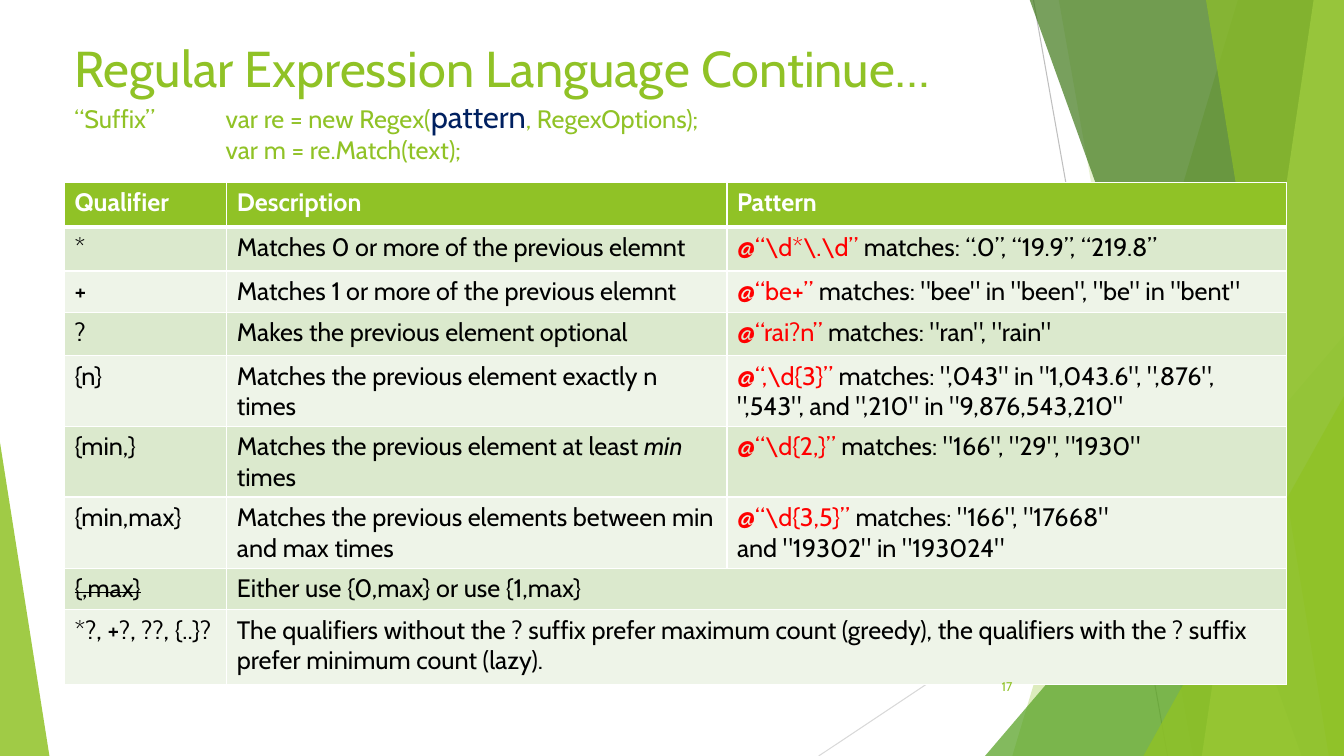
from lxml.etree import SubElement
from pptx import Presentation
from pptx.dml.color import RGBColor
from pptx.enum.shapes import MSO_CONNECTOR, MSO_SHAPE
from pptx.enum.text import MSO_ANCHOR, PP_ALIGN
from pptx.oxml.ns import qn
from pptx.util import Inches, Pt

# Content: a cell is a string or a list of (text, format) spans
FONT = "Cabin"
GREEN, NAVY, RED, WHITE, BLACK = "90C226", "002060", "FF0000", "FFFFFF", "000000"
BANDS = ["EEF4E8", "DBE9CD"]

TITLE = [
    ("Regular Expression Language Continue…\n", {"size": 36}),
    ("“Suffix”\t\tvar re = new Regex(", {}),
    ("pattern", {"size": 22, "color": NAVY}),
    (", RegexOptions);\n\t\t\tvar m = re.Match(text);", {}),
]
HEADER = ["Qualifier", "Description", "Pattern"]


def example(pattern, matches):
    return [(pattern, {"color": RED}), (" matches: " + matches, {})]


ROWS = [
    ["*", "Matches 0 or more of the previous elemnt",
     example(r"@“\d*\.\d”", "“.0”, “19.9”, “219.8”")],
    ["+", "Matches 1 or more of the previous elemnt",
     example("@“be+”", '"bee" in "been", "be" in "bent"')],
    ["?", "Makes the previous element optional",
     example("@“rai?n”", '"ran", "rain"')],
    ["{n}", "Matches the previous element exactly n times",
     example(r"@“,\d{3}”", '",043" in "1,043.6", ",876", ",543", and ",210" in "9,876,543,210"')],
    ["{min,}", [("Matches the previous element at least ", {}),
                ("min", {"italic": True}), (" times", {})],
     example(r"@“\d{2,}”", '"166", "29", "1930"')],
    ["{min,max}", "Matches the previous elements between min and max times",
     example(r"@“\d{3,5}”", '"166", "17668"\nand "19302" in "193024"')],
    [[("{,max}", {"strike": True})], "Either use {0,max} or use {1,max}"],
    ["*?, +?, ??, {..}?",
     "The qualifiers without the ? suffix prefer maximum count (greedy), "
     "the qualifiers with the ? suffix prefer minimum count (lazy)."],
]
COLUMN_WIDTHS = [1.61, 4.96, 5.55]
ROW_HEIGHTS = [0.44, 0.44, 0.41, 0.43, 0.69, 0.67, 0.71, 0.41, 0.74]

# Background: panels run to the right edge, given by the x of their left side
WIDTH, HEIGHT, PANEL_TOP = 13.33, 7.5, -0.01
LINES = [((10.25, 0), (11.58, HEIGHT), "BFBFBF"), ((WIDTH, 4.03), (8.12, HEIGHT), "D9D9D9")]
DECORATION = [  # kind, geometry, colour, opacity in percent
    ("panel", (12.28, 10.04), GREEN, 30),
    ("panel", (10.5, 11.83), GREEN, 20),
    ("triangle", (9.77, 3.33, 3.56, 4.17, 1), "54A021", 72),
    ("panel", (10.21, 12.91), "3F7819", 70),
    ("panel", (13.03, 11.92), "C0E474", 70),
    ("panel", (11.96, 13.18), GREEN, 65),
    ("triangle", (11.34, 3.93, 1.99, 3.57, 1), GREEN, 80),
    ("triangle", (0, 4.39, 0.49, 3.11, 0), GREEN, 85),
]


def rgb(value):
    return RGBColor.from_string(value)


def write(para, text, size=18, color=BLACK, bold=False, italic=False, strike=False):
    for index, line in enumerate(text.split("\n")):
        if index:
            para.add_line_break()
        if not line:
            continue
        span = para.add_run()
        span.text = line
        font = span.font
        font.name, font.size, font.bold, font.italic = FONT, Pt(size), bold, italic
        font.color.rgb = rgb(color)
        if strike:
            font._element.set("strike", "sngStrike")


def add_text_box(page, left, top, width, height, anchor):
    box = page.shapes.add_textbox(Inches(left), Inches(top), Inches(width), Inches(height))
    box.text_frame.word_wrap = True
    box.text_frame.vertical_anchor = anchor
    return box.text_frame.paragraphs[0]


def add_line(page, start, end, color):
    line = page.shapes.add_connector(MSO_CONNECTOR.STRAIGHT, *map(Inches, start + end))
    line.line.color.rgb = rgb(color)
    line.line.width = Pt(0.75)
    SubElement(line._element.spPr, qn("a:effectLst"))


def add_decoration(page, kind, geometry, color, opacity):
    if kind == "panel":
        top_x, bottom_x = geometry
        builder = page.shapes.build_freeform(Inches(top_x), Inches(PANEL_TOP))
        corners = [(WIDTH, PANEL_TOP), (WIDTH, HEIGHT), (bottom_x, HEIGHT)]
        builder.add_line_segments([(Inches(x), Inches(y)) for x, y in corners], close=True)
        shape = builder.convert_to_shape()
    else:
        *frame, apex = geometry
        shape = page.shapes.add_shape(MSO_SHAPE.ISOSCELES_TRIANGLE, *map(Inches, frame))
        shape.adjustments[0] = apex
    shape.shadow.inherit = False
    shape.line.fill.background()
    shape.fill.solid()
    shape.fill.fore_color.rgb = rgb(color)
    color_node = shape._element.spPr.find(qn("a:solidFill"))[0]
    SubElement(color_node, qn("a:alpha"), val=str(opacity * 1000))


def style_cell(cell, fill, bottom_width):
    properties = cell._tc.get_or_add_tcPr()
    for side, width in (("L", 1), ("R", 1), ("T", 1), ("B", bottom_width)):
        border = SubElement(properties, qn("a:ln" + side), w=str(Pt(width)))
        SubElement(SubElement(border, qn("a:solidFill")), qn("a:srgbClr"), val=WHITE)
    cell.fill.solid()
    cell.fill.fore_color.rgb = rgb(fill)


def add_qualifier_table(page):
    frame = page.shapes.add_table(
        len(ROW_HEIGHTS), len(COLUMN_WIDTHS), Inches(0.64), Inches(1.81),
        Inches(sum(COLUMN_WIDTHS)), Inches(sum(ROW_HEIGHTS)))
    table = frame.table
    for column, width in zip(table.columns, COLUMN_WIDTHS):
        column.width = Inches(width)
    for row, height in zip(table.rows, ROW_HEIGHTS):
        row.height = Inches(height)
    for r, contents in enumerate([HEADER] + ROWS):
        header = r == 0
        for cell in table.rows[r].cells:
            style_cell(cell, GREEN if header else BANDS[r % 2], 3 if header else 1)
        if len(contents) < len(COLUMN_WIDTHS):
            table.cell(r, 1).merge(table.cell(r, 2))
        base = {"color": WHITE, "bold": True} if header else {}
        for c, content in enumerate(contents):
            spans = [(content, {})] if isinstance(content, str) else content
            for text, style in spans:
                write(table.cell(r, c).text_frame.paragraphs[0], text, **{**base, **style})


def main():
    deck = Presentation()
    deck.slide_width, deck.slide_height = Inches(WIDTH), Inches(HEIGHT)
    page = deck.slides.add_slide(deck.slide_layouts[6])

    # Background
    for line in LINES:
        add_line(page, *line)
    for item in DECORATION:
        add_decoration(page, *item)

    # Title with half-inch tab stops
    title = add_text_box(page, 0.64, 0.32, 9.5, 1.39, MSO_ANCHOR.TOP)
    stops = SubElement(title._p.get_or_add_pPr(), qn("a:tabLst"))
    for count in (1, 2, 3):
        SubElement(stops, qn("a:tab"), pos=str(Inches(count * 0.5)), algn="l")
    for text, style in TITLE:
        write(title, text, **{"color": GREEN, **style})

    # Table and page number
    add_qualifier_table(page)
    number = add_text_box(page, 9.39, 6.61, 0.75, 0.4, MSO_ANCHOR.MIDDLE)
    number.alignment = PP_ALIGN.RIGHT
    write(number, "17", size=9, color=GREEN)

    deck.save("out.pptx")


if __name__ == "__main__":
    main()
